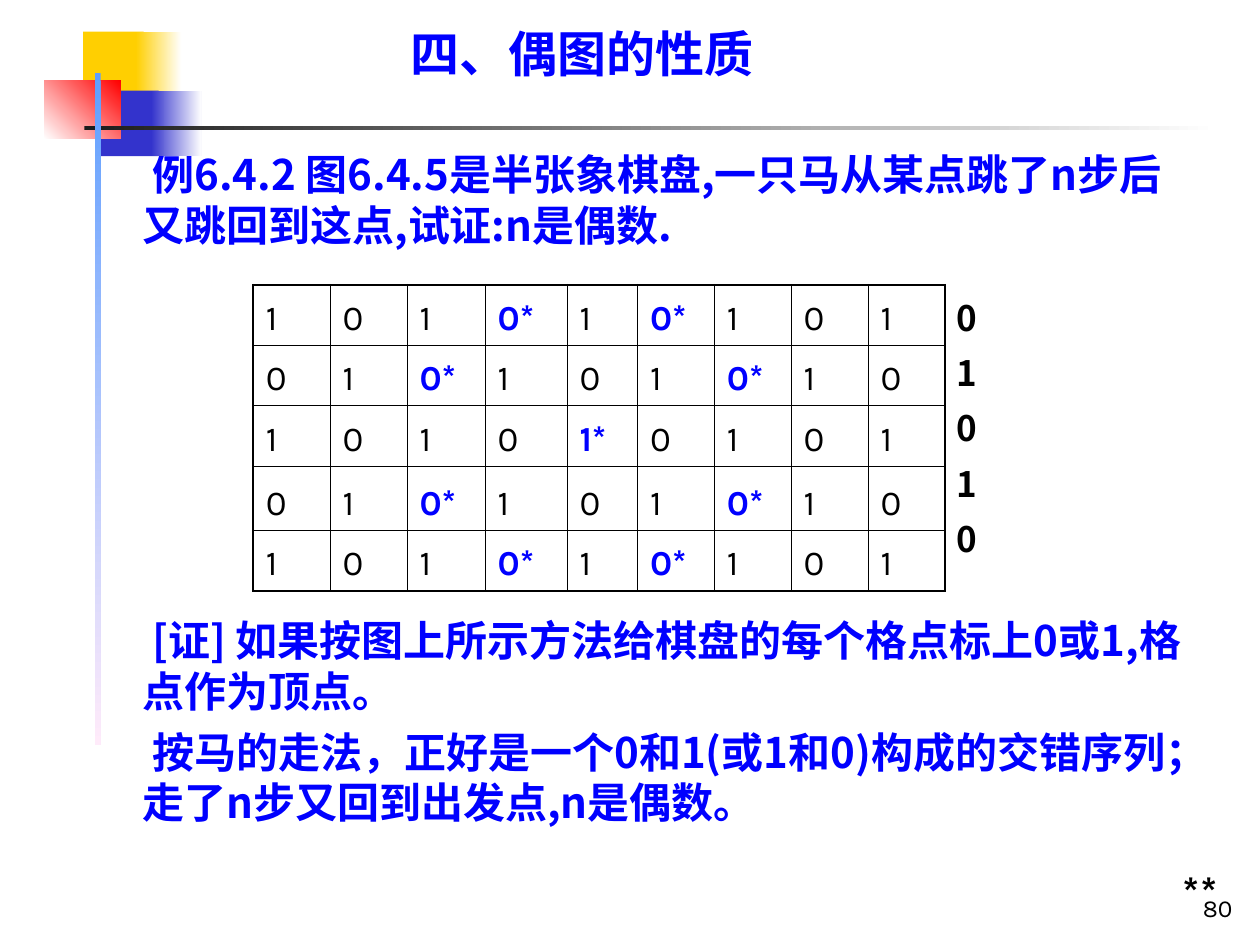
from lxml import etree
from pptx import Presentation
from pptx.dml.color import RGBColor
from pptx.enum.shapes import MSO_SHAPE
from pptx.enum.text import MSO_ANCHOR, MSO_AUTO_SIZE, PP_ALIGN
from pptx.oxml.ns import qn
from pptx.util import Inches, Pt

RECT = MSO_SHAPE.RECTANGLE
TOP, LOW = MSO_ANCHOR.TOP, MSO_ANCHOR.BOTTOM
LEFT, RIGHT = PP_ALIGN.LEFT, PP_ALIGN.RIGHT
FIXED = MSO_AUTO_SIZE.NONE
BLUE, BLACK, WHITE = "0000FF", "000000", "FFFFFF"
HAN, KARLA, TIMES = "Noto Sans CJK SC", "Karla", "Times New Roman"


def rgb(code):
    return RGBColor.from_string(code)


class Page:
    """Hold the shared style and the slide being drawn."""

    def __init__(self, deck):
        self.slide = deck.slides.add_slide(deck.slide_layouts[3])
        self.shapes = self.slide.shapes

    def place(self, shape, box):
        shape.left, shape.top, shape.width, shape.height = map(Inches, box)

    def style(self, para, face, size, color, bold=True):
        for run in para.runs:
            font = run.font
            font.name, font.size, font.bold = face, Pt(size), bold
            font.color.rgb = rgb(color)
            east = etree.SubElement(font._element, qn("a:ea"))
            east.set("typeface", HAN)

    def frame(self, shape, pads, anchor=TOP, wrap=True):
        frame = shape.text_frame
        frame.auto_size, frame.word_wrap = FIXED, wrap
        frame.vertical_anchor = anchor
        (frame.margin_left, frame.margin_top,
         frame.margin_right, frame.margin_bottom) = map(Inches, pads)
        return frame

    def block(self, box, color, end=None, angle=0):
        shape = self.shapes.add_shape(RECT, *map(Inches, box))
        shape.shadow.inherit = False
        shape.line.fill.background()
        if end is None:
            shape.fill.solid()
            shape.fill.fore_color.rgb = rgb(color)
            return
        shape.fill.gradient()
        shape.fill.gradient_angle = angle
        for stop, code in zip(shape.fill.gradient_stops, (color, end)):
            stop.color.rgb = rgb(code)

    def title(self, box, text):
        shape = self.shapes.title
        self.place(shape, box)
        frame = self.frame(shape, (0, 0, 0, 0))
        frame.text = text
        para = frame.paragraphs[0]
        para.alignment, para.line_spacing = LEFT, 0.8
        self.style(para, TIMES, 28, BLUE)

    def body(self, index, box, lines):
        shape = self.slide.placeholders[index]
        self.place(shape, box)
        frame = self.frame(shape, (0, 0.03, 0, 0))
        frame.text = "\n".join(lines)
        for i, para in enumerate(frame.paragraphs):
            props = para._p.get_or_add_pPr()
            props.set("marL", str(Inches(0.38)))
            props.set("indent", str(Inches(0.08)))
            etree.SubElement(props, qn("a:buNone"))
            para.line_spacing = 1.0
            para.space_before = Pt(6 if i else 0)
            self.style(para, HAN, 24, BLUE)

    def label(self, box, text, face, size, bold=True, align=LEFT,
              anchor=TOP, wrap=True, head=0.05, gap=0):
        shape = self.shapes.add_textbox(*map(Inches, box))
        frame = self.frame(shape, (0.1, head, 0.1, 0.05), anchor, wrap)
        frame.text = text
        for i, para in enumerate(frame.paragraphs):
            para.alignment = align
            para.space_before = Pt(gap if i else 0)
            self.style(para, face, size, BLACK, bold)

    def edge(self, cell, side, width):
        line = etree.SubElement(cell._tc.get_or_add_tcPr(), qn("a:ln" + side))
        line.set("w", str(Pt(width)))
        fill = etree.SubElement(line, qn("a:solidFill"))
        etree.SubElement(fill, qn("a:srgbClr")).set("val", BLACK)

    def board(self, box, wide, tall):
        rows, cols = len(tall), len(wide)
        table = self.shapes.add_table(rows, cols, *map(Inches, box)).table
        table.first_row = table.horz_banding = False
        for col, size in zip(table.columns, wide):
            col.width = Inches(size)
        for row, size in zip(table.rows, tall):
            row.height = Inches(size)
        for r in range(rows):
            for c in range(cols):
                cell = table.cell(r, c)
                outer = {"L": c == 0, "R": c == cols - 1,
                         "T": r == 0, "B": r == rows - 1}
                for side, rim in outer.items():
                    self.edge(cell, side, 1.08 if rim else 0.45)
                cell.fill.solid()
                cell.fill.fore_color.rgb = rgb(WHITE)
                cell.vertical_anchor = LOW
                down, over = abs(r - rows // 2), abs(c - cols // 2)
                star = down * over == 2 or down + over == 0
                cell.text = str((r + c + 1) % 2) + "*" * star
                self.style(cell.text_frame.paragraphs[0], KARLA, 20,
                           BLUE if star else BLACK, star)


def main():
    deck = Presentation()
    deck.slide_width, deck.slide_height = Inches(10), Inches(7.5)
    page = Page(deck)
    page.block((0.66, 0.25, 0.48, 0.52), "FFCF01")
    page.block((1.08, 0.25, 0.36, 0.52), "FFCF01", WHITE)
    page.block((0.8, 0.72, 0.46, 0.52), "3333CC")
    page.block((1.2, 0.72, 0.4, 0.52), "3333CC", WHITE)
    page.block((0.35, 0.64, 0.61, 0.46), WHITE, "FF0000", 45)
    page.block((0.67, 1, 9, 0.03), "1C1C1C", WHITE)
    page.block((0.75, 0.58, 0.05, 5.33), "5E9EFF", "FFEBFA", 270)
    page.title((3.26, 0.28, 3.31, 0.42), "四、偶图的性质")
    page.body(1, (0.75, 1.15, 8.51, 0.96), [
        "例6.4.2 图6.4.5是半张象棋盘,一只马从某点跳了n步后又跳回到这点,试证:n是偶数."])
    page.body(2, (0.75, 4.85, 8.9, 2), [
        "[证] 如果按图上所示方法给棋盘的每个格点标上0或1,格点作为顶点。",
        "按马的走法，正好是一个0和1(或1和0)构成的交错序列；走了n步又回到出发点,n是偶数。"])
    page.board((2.01, 2.26, 5.49, 2.44),
               [0.61, 0.61, 0.62, 0.65, 0.56] + [0.61] * 4,
               [0.48, 0.48, 0.48, 0.51, 0.48])
    page.label((7.49, 2.34, 0.87, 2.46), "\n".join("01010"), HAN, 20,
               head=0.01, gap=7.6)
    page.label((9.29, 6.82, 0.56, 0.5), "**", KARLA, 24, wrap=False)
    page.label((7.8, 6.87, 2.08, 0.5), "80", KARLA, 14, bold=False,
               align=RIGHT, anchor=LOW)
    deck.save("out.pptx")


if __name__ == "__main__":
    main()
